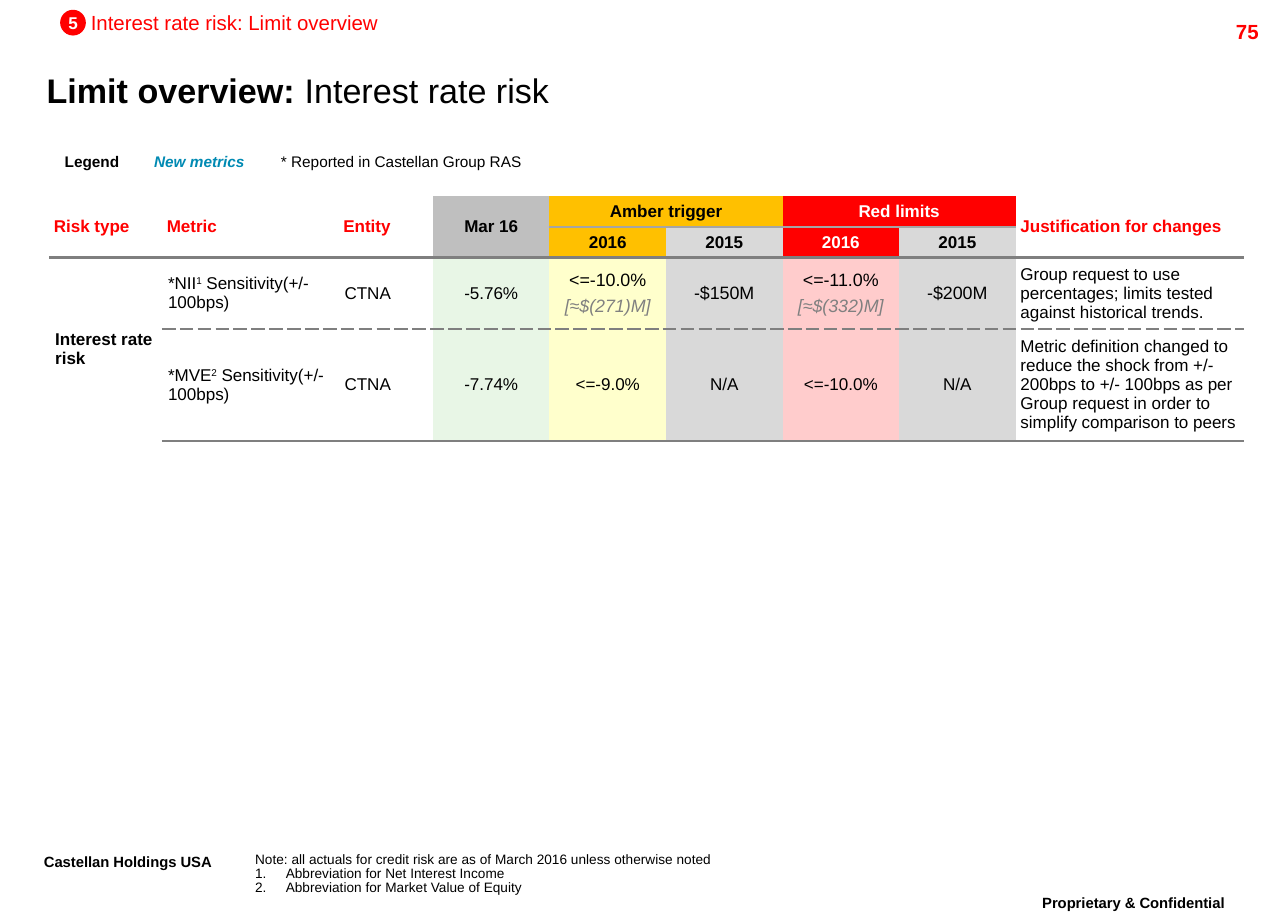
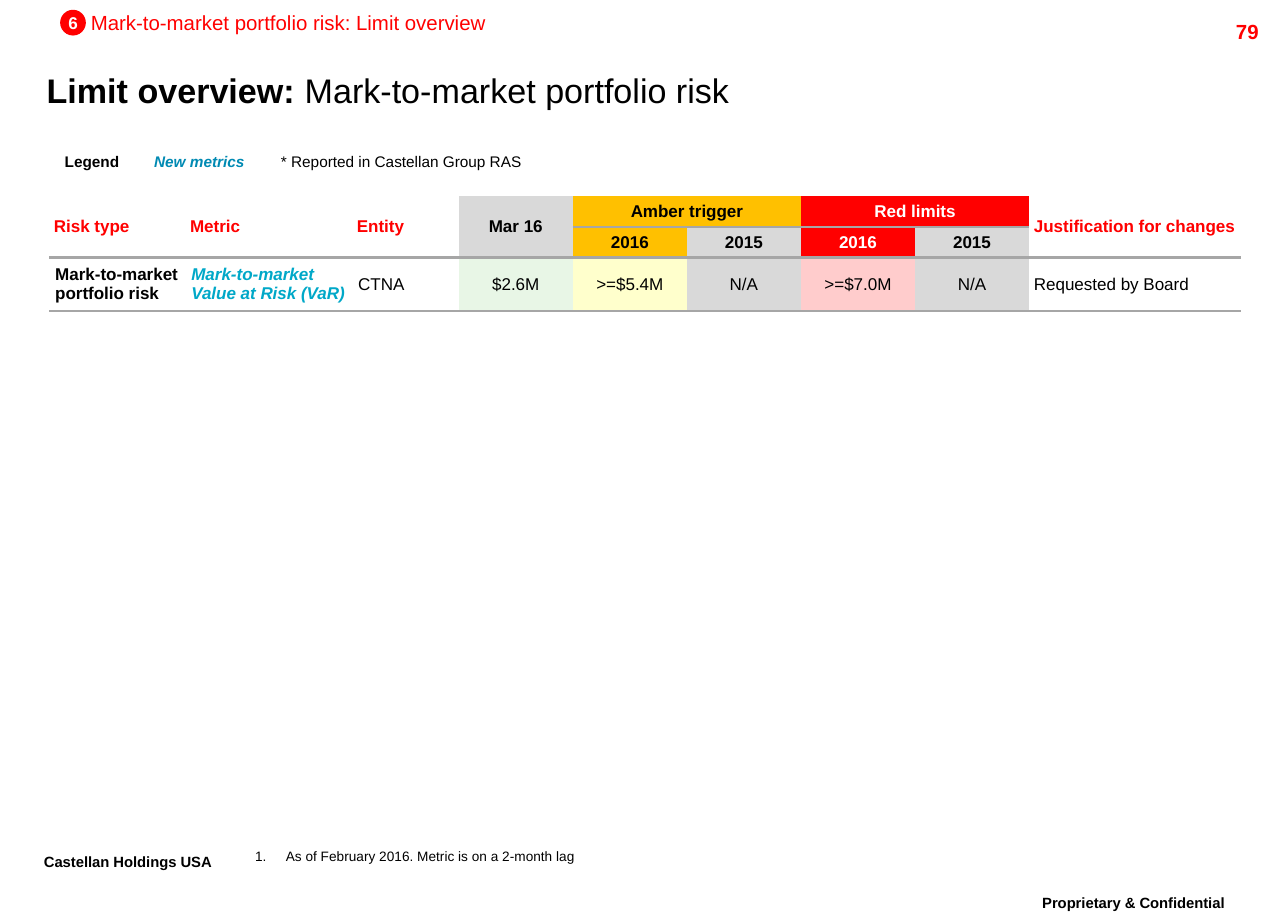
from dataclasses import dataclass

from lxml.etree import SubElement
from pptx import Presentation
from pptx.dml.color import RGBColor
from pptx.enum.shapes import MSO_SHAPE
from pptx.enum.text import MSO_ANCHOR, PP_ALIGN
from pptx.oxml.ns import qn
from pptx.util import Pt

PX = 9144  # EMU per px, 100 px to the inch
FONT = "Arial"

BLACK = RGBColor(0x00, 0x00, 0x00)
WHITE = RGBColor(0xFF, 0xFF, 0xFF)
RED = RGBColor(0xFF, 0x00, 0x00)
AMBER = RGBColor(0xFF, 0xC0, 0x00)
PALE_RED = RGBColor(0xFF, 0xCC, 0xCC)
PALE_AMBER = RGBColor(0xFF, 0xFF, 0xCC)
PALE_GREEN = RGBColor(0xE8, 0xF6, 0xE6)
SILVER = RGBColor(0xBF, 0xBF, 0xBF)
LIGHT_GREY = RGBColor(0xD9, 0xD9, 0xD9)
NOTE_GREY = RGBColor(0x80, 0x80, 0x80)
LEGEND_BLUE = RGBColor(0x00, 0x8A, 0xB3)
METRIC_BLUE = RGBColor(0x00, 0xA8, 0xC8)

LEFT, CENTER, RIGHT = PP_ALIGN.LEFT, PP_ALIGN.CENTER, PP_ALIGN.RIGHT


@dataclass
class Rule:
    color: str
    width: float
    dash: str = "solid"


@dataclass
class Cell:
    paragraphs: list  # each paragraph is a list of runs: text or (text, style)
    fill: RGBColor = None
    color: RGBColor = BLACK
    bold: bool = False
    italic: bool = False
    size: float = 10
    align: int = CENTER
    rows: int = 1
    cols: int = 1
    margin: int = 4


class Deck:
    def __init__(self, width, height):
        self.prs = Presentation()
        self.prs.slide_width, self.prs.slide_height = width * PX, height * PX
        self.slide = None

    def set_text(self, frame, paragraphs, align=LEFT, spacing=None, gap=0, **style):
        for index, runs in enumerate(paragraphs):
            paragraph = frame.paragraphs[0] if index == 0 else frame.add_paragraph()
            paragraph.alignment = align
            if spacing:
                paragraph.line_spacing = spacing
            if gap:
                paragraph.space_after = Pt(gap)
                if index:
                    paragraph.space_before = Pt(gap)
            for part in runs:
                text, changes = (part, {}) if isinstance(part, str) else part
                run = paragraph.add_run()
                run.text = text
                self.style_run(run, **{**style, **changes})

    def style_run(self, run, size=10, color=BLACK, bold=False, italic=False, raised=False):
        font = run.font
        font.name, font.size = FONT, Pt(size)
        font.bold, font.italic = bold, italic
        font.color.rgb = color
        if raised:
            run._r.get_or_add_rPr().set("baseline", "30000")

    def text(self, box, paragraphs, inset=True, wrap=True, anchor=MSO_ANCHOR.TOP, **style):
        frame = self.slide.shapes.add_textbox(*(n * PX for n in box)).text_frame
        frame.word_wrap, frame.vertical_anchor = wrap, anchor
        if not inset:
            self.no_margins(frame)
        self.set_text(frame, paragraphs, **style)
        return frame

    def no_margins(self, frame):
        frame.margin_left = frame.margin_right = frame.margin_top = frame.margin_bottom = 0

    def badge(self, box, number):
        oval = self.slide.shapes.add_shape(MSO_SHAPE.OVAL, *(n * PX for n in box))
        oval.shadow.inherit = False
        oval.fill.solid()
        oval.fill.fore_color.rgb = RED
        oval.line.fill.background()
        frame = oval.text_frame
        frame.word_wrap, frame.vertical_anchor = False, MSO_ANCHOR.MIDDLE
        self.no_margins(frame)
        self.set_text(frame, [[number]], align=CENTER, color=WHITE, bold=True)

    def footnotes(self, box, notes, lead=None):
        lines = [lead] * bool(lead) + notes
        frame = self.text(box, [[line] for line in lines], inset=False,
                          anchor=MSO_ANCHOR.BOTTOM, size=8, spacing=0.86)
        if lead:
            frame.paragraphs[0].line_spacing = 1.0
        for paragraph in frame.paragraphs[-len(notes):]:
            props = paragraph._p.get_or_add_pPr()
            props.set("marL", str(25 * PX))
            props.set("indent", str(-25 * PX))
            SubElement(props, qn("a:buAutoNum"), type="arabicPeriod")

    def start(self, page, section, topic):
        """Add a slide with the frame that all slides share."""
        self.slide = self.prs.slides.add_slide(self.prs.slide_layouts[6])
        # Footer and page number
        footer = dict(size=15, bold=True, raised=True, spacing=0.86)
        self.text((815, 725, 218, 35), [["Proprietary & Confidential"]], align=CENTER, **footer)
        self.text((26, 691, 191, 35), [["Castellan Holdings USA"]], **footer)
        self.text((936, 11, 100, 24), [[page]], align=RIGHT, size=12, color=RED, bold=True)
        # Section marker and title
        self.badge((49, 8, 21, 21), section)
        self.text((74, 8, 325, 20), [[f"{topic}: Limit overview"]], inset=False,
                  wrap=False, size=12, color=RED)
        self.text((38, 49, 948, 48), [[("Limit overview: ", {"bold": True}), topic]],
                  inset=False, anchor=MSO_ANCHOR.MIDDLE, size=20)
        # Legend
        legend = dict(align=CENTER, spacing=0.86, size=9)
        self.text((40, 121, 70, 23), [["Legend"]], bold=True, **legend)
        self.text((115, 121, 95, 23), [["New metrics"]], wrap=False, color=LEGEND_BLUE,
                  bold=True, italic=True, **legend)
        self.text((215, 121, 224, 23), [["* Reported in Castellan Group RAS"]],
                  wrap=False, **legend)

    def border(self, cell, side, rule):
        props = cell._tc.get_or_add_tcPr()
        line = SubElement(props, qn(f"a:ln{side}"))
        if rule is None:
            SubElement(line, qn("a:noFill"))
            return
        line.set("w", str(Pt(rule.width)))
        SubElement(SubElement(line, qn("a:solidFill")), qn("a:srgbClr"), val=rule.color)
        SubElement(line, qn("a:prstDash"), val=rule.dash)

    def table(self, widths, heights, rules, cells):
        """Draw cells keyed by (row, column); rules run above, between and below rows."""
        table = self.slide.shapes.add_table(
            len(heights), len(widths), 40 * PX, 160 * PX,
            sum(widths) * PX, sum(heights) * PX).table
        table.first_row = table.horz_banding = False
        for column, width in zip(table.columns, widths):
            column.width = width * PX
        for row, height in zip(table.rows, heights):
            row.height = height * PX
        for (top, left), spec in cells.items():
            last = top + spec.rows - 1
            for r in range(top, last + 1):
                for c in range(left, left + spec.cols):
                    cell = table.cell(r, c)
                    self.border(cell, "L", None)
                    self.border(cell, "R", None)
                    self.border(cell, "T", rules[r] if r == top else None)
                    self.border(cell, "B", rules[r + 1] if r == last else None)
                    if spec.fill is None:
                        cell.fill.background()
                    else:
                        cell.fill.solid()
                        cell.fill.fore_color.rgb = spec.fill
            origin = table.cell(top, left)
            if spec.rows * spec.cols > 1:
                origin.merge(table.cell(last, left + spec.cols - 1))
            origin.vertical_anchor = MSO_ANCHOR.MIDDLE
            origin.margin_left = origin.margin_right = spec.margin * PX
            origin.margin_top = origin.margin_bottom = spec.margin * PX
            self.set_text(origin.text_frame, spec.paragraphs, align=spec.align,
                          gap=2 if len(spec.paragraphs) > 1 else 0, size=spec.size,
                          color=spec.color, bold=spec.bold, italic=spec.italic)


def header_cells(actual_fill):
    cells = {
        (0, column): Cell([[label]], color=RED, bold=True, align=LEFT, rows=2)
        for column, label in ((0, "Risk type"), (1, "Metric"), (2, "Entity"),
                              (8, "Justification for changes"))
    }
    cells[0, 3] = Cell([["Mar 16"]], actual_fill, bold=True, rows=2)
    for column, label, fill, color in ((4, "Amber trigger", AMBER, BLACK),
                                       (6, "Red limits", RED, WHITE)):
        cells[0, column] = Cell([[label]], fill, color, bold=True, cols=2)
        cells[1, column] = Cell([["2016"]], fill, color, bold=True)
        cells[1, column + 1] = Cell([["2015"]], LIGHT_GREY, bold=True)
    return cells


def risk_cell(label, rows=1):
    return Cell([[label]], bold=True, align=LEFT, rows=rows, margin=5)


def metric_cells(row, metric, actual, limits, reason, limit_size=10):
    """Cells from Metric to Justification; limits hold paragraphs for four columns."""
    cells = {
        (row, 1): metric,
        (row, 2): Cell([["CTNA"]], align=LEFT, margin=5),
        (row, 3): Cell([[actual]], PALE_GREEN, margin=5),
        (row, 8): Cell([[reason]], align=LEFT, margin=4),
    }
    fills = (PALE_AMBER, LIGHT_GREY, PALE_RED, LIGHT_GREY)
    for column, (limit, fill) in enumerate(zip(limits, fills), start=4):
        cells[row, column] = Cell(limit, fill, size=limit_size)
    return cells


def sensitivity(measure, note):
    return Cell([[f"*{measure}", (note, {"raised": True}), " Sensitivity(+/- 100bps)"]],
                align=LEFT, margin=5)


def amount(text):
    return [(text, {"color": NOTE_GREY, "italic": True})]


def main():
    deck = Deck(1050, 750)

    # Interest rate risk
    deck.start("75", "5", "Interest rate risk")
    thick = Rule("7F7F7F", 1.5)
    deck.table(
        [92, 144, 77, 95, 95, 95, 95, 95, 186], [25, 25, 58, 91],
        [None, Rule("A5A5A5", 1), thick, Rule("7F7F7F", 1, "sysDash"), thick],
        {
            **header_cells(SILVER),
            (2, 0): risk_cell("Interest rate risk", rows=2),
            **metric_cells(
                2, sensitivity("NII", "1"), "-5.76%",
                ([["<=-10.0%"], amount("[≈$(271)M]")], [["-$150M"]],
                 [["<=-11.0%"], amount("[≈$(332)M]")], [["-$200M"]]),
                "Group request to use percentages; limits tested against historical trends.",
                limit_size=10.5),
            **metric_cells(
                3, sensitivity("MVE", "2"), "-7.74%",
                ([["<=-9.0%"]], [["N/A"]], [["<=-10.0%"]], [["N/A"]]),
                "Metric definition changed to reduce the shock from +/- 200bps to +/- 100bps "
                "as per Group request in order to simplify comparison to peers"),
        })
    deck.footnotes(
        (208, 693, 615, 37),
        ["Abbreviation for Net Interest Income", "Abbreviation for Market Value of Equity"],
        lead="Note: all actuals for credit risk are as of March 2016 unless otherwise noted")

    # Mark-to-market portfolio risk
    deck.start("79", "6", "Mark-to-market portfolio risk")
    grey = Rule("A6A6A6", 1.5)
    value_at_risk = Cell([["Mark-to-market Value at Risk (VaR)"]], color=METRIC_BLUE,
                         bold=True, italic=True, align=LEFT, margin=5)
    deck.table(
        [111, 136, 87, 93, 93, 93, 93, 93, 173], [25, 25, 43],
        [None, grey, grey, grey],
        {
            **header_cells(LIGHT_GREY),
            (2, 0): risk_cell("Mark-to-market portfolio risk"),
            **metric_cells(2, value_at_risk, "$2.6M",
                           ([[">=$5.4M"]], [["N/A"]], [[">=$7.0M"]], [["N/A"]]),
                           "Requested by Board"),
        })
    deck.footnotes((208, 693, 745, 12), ["As of February 2016. Metric is on a 2-month lag"])

    deck.prs.save("out.pptx")


if __name__ == "__main__":
    main()
